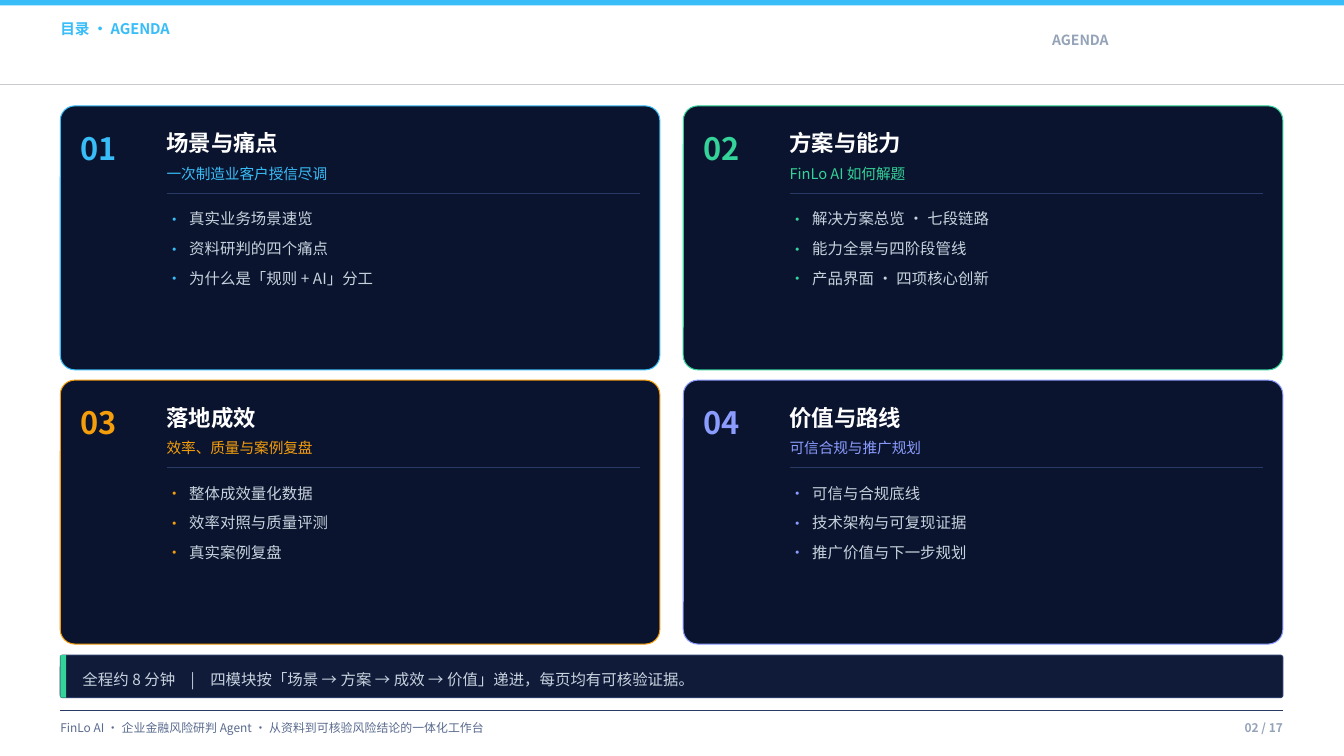
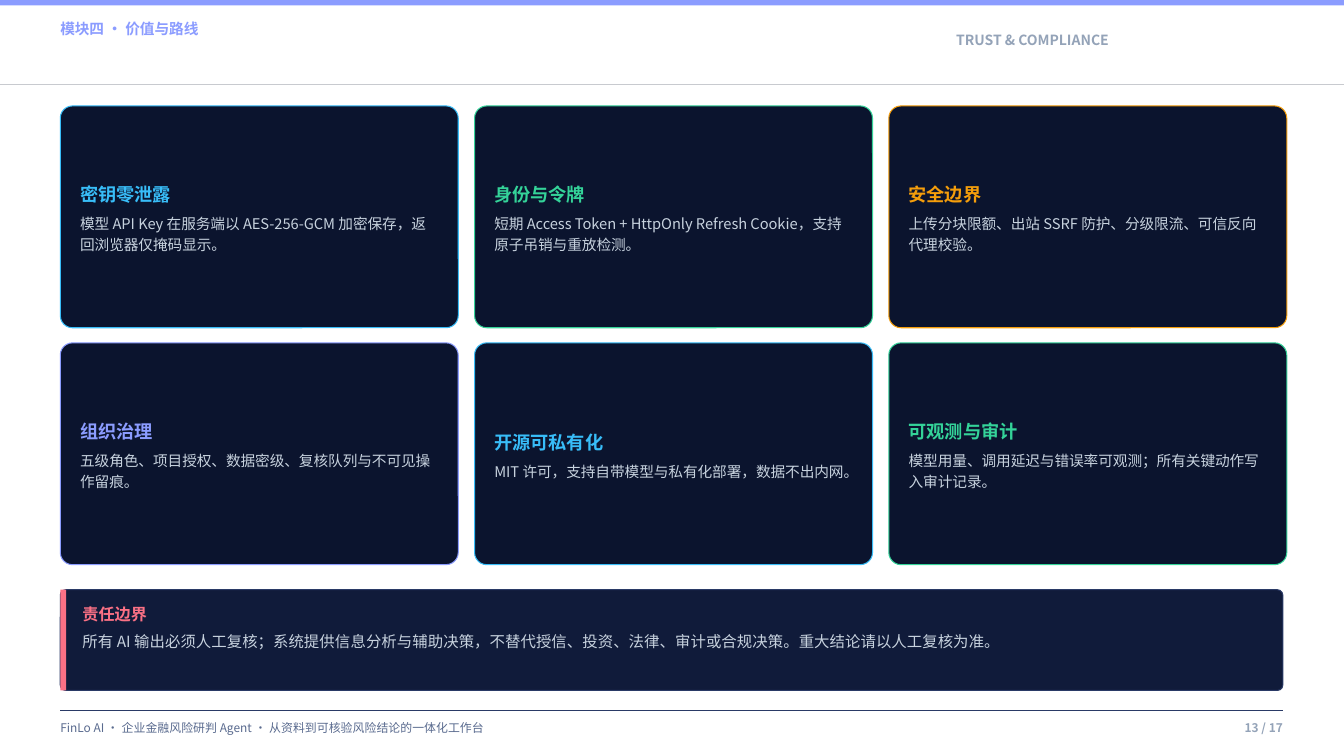
from lxml import etree
from pptx import Presentation
from pptx.dml.color import RGBColor
from pptx.enum.shapes import MSO_CONNECTOR, MSO_SHAPE
from pptx.enum.text import MSO_ANCHOR, MSO_AUTO_SIZE, PP_ALIGN
from pptx.oxml.ns import qn
from pptx.util import Cm, Pt

RECT, ROUNDED = MSO_SHAPE.RECTANGLE, MSO_SHAPE.ROUNDED_RECTANGLE
STRAIGHT = MSO_CONNECTOR.STRAIGHT
LEFT, RIGHT = PP_ALIGN.LEFT, PP_ALIGN.RIGHT
MIDDLE = MSO_ANCHOR.MIDDLE
GROW = MSO_AUTO_SIZE.SHAPE_TO_FIT_TEXT

# Shared style; all lengths are in centimetres
FONT = "Noto Sans CJK SC"
SKY, GREEN, AMBER, VIOLET, ROSE = "38BDF8", "34D399", "F59E0B", "8B9CFF", "FB7185"
WHITE, BODY, MUTED, FOOTER = "FFFFFF", "C7D2DE", "94A3B8", "5A6B8F"
CARD, BAND, RULE, HEADER_RULE = "0B142E", "101B3A", "2A3A66", "C8CACF"
SLIDE_W, SLIDE_H = 33.87, 19.05
MARGIN, CONTENT_W, CONTENT_TOP = 1.52, 30.81, 2.67
FOOTER_TEXT = "FinLo AI · 企业金融风险研判 Agent · 从资料到可核验风险结论的一体化工作台"

MODULES = [
    (SKY, "场景与痛点", "一次制造业客户授信尽调",
     ["真实业务场景速览", "资料研判的四个痛点", "为什么是「规则 + AI」分工"]),
    (GREEN, "方案与能力", "FinLo AI 如何解题",
     ["解决方案总览 · 七段链路", "能力全景与四阶段管线", "产品界面 · 四项核心创新"]),
    (AMBER, "落地成效", "效率、质量与案例复盘",
     ["整体成效量化数据", "效率对照与质量评测", "真实案例复盘"]),
    (VIOLET, "价值与路线", "可信合规与推广规划",
     ["可信与合规底线", "技术架构与可复现证据", "推广价值与下一步规划"]),
]
SAFEGUARDS = [
    (SKY, "密钥零泄露", "模型 API Key 在服务端以 AES-256-GCM 加密保存，返回浏览器仅掩码显示。"),
    (GREEN, "身份与令牌", "短期 Access Token + HttpOnly Refresh Cookie，支持原子吊销与重放检测。"),
    (AMBER, "安全边界", "上传分块限额、出站 SSRF 防护、分级限流、可信反向代理校验。"),
    (VIOLET, "组织治理", "五级角色、项目授权、数据密级、复核队列与不可见操作留痕。"),
    (SKY, "开源可私有化", "MIT 许可，支持自带模型与私有化部署，数据不出内网。"),
    (GREEN, "可观测与审计", "模型用量、调用延迟与错误率可观测；所有关键动作写入审计记录。"),
]


def rgb(value):
    return RGBColor.from_string(value)


def add_bullet(paragraph, color):
    """Hang the paragraph on a coloured middle dot."""
    props = paragraph._p.get_or_add_pPr()
    props.set("marL", str(Cm(0.57)))
    props.set("indent", str(-Cm(0.57)))
    bullet_color = etree.SubElement(props, qn("a:buClr"))
    etree.SubElement(bullet_color, qn("a:srgbClr")).set("val", color)
    etree.SubElement(props, qn("a:buFont")).set("typeface", FONT)
    etree.SubElement(props, qn("a:buChar")).set("char", "·")


def write(paragraph, text, size, color, bold=False, spacing=1.2, after=0,
          align=LEFT, bullet=None):
    paragraph.text = text
    paragraph.alignment = align
    paragraph.line_spacing = spacing
    paragraph.space_after = Pt(after)
    if bullet:
        add_bullet(paragraph, bullet)
    font = paragraph.font
    font.name, font.size, font.bold = FONT, Pt(size), bold
    font.color.rgb = rgb(color)
    # East Asian glyphs need their own typeface entry
    defaults = paragraph._p.pPr.find(qn("a:defRPr"))
    east_asian = etree.Element(qn("a:ea"))
    east_asian.set("typeface", FONT)
    defaults.find(qn("a:latin")).addnext(east_asian)


def write_all(frame, lines):
    """Each line is (text, size, color, options)."""
    for index, (text, size, color, options) in enumerate(lines):
        paragraph = frame.add_paragraph() if index else frame.paragraphs[0]
        write(paragraph, text, size, color, **options)


def set_insets(frame, left, top, right, bottom):
    frame.margin_left, frame.margin_top = Cm(left), Cm(top)
    frame.margin_right, frame.margin_bottom = Cm(right), Cm(bottom)


def add_text(slide, x, y, w, h, lines):
    box = slide.shapes.add_textbox(Cm(x), Cm(y), Cm(w), Cm(h))
    frame = box.text_frame
    frame.word_wrap = True
    frame.auto_size = GROW
    set_insets(frame, 0, 0, 0, 0)
    write_all(frame, lines)


def add_line(slide, x, y, w, color, weight=0.75):
    line = slide.shapes.add_connector(STRAIGHT, Cm(x), Cm(y), Cm(x + w), Cm(y))
    line.line.color.rgb = rgb(color)
    line.line.width = Pt(weight)
    etree.SubElement(line._element.spPr, qn("a:effectLst"))


def add_panel(slide, x, y, w, h, fill, border=None):
    """Rounded when bordered, plain rectangle otherwise."""
    kind = ROUNDED if border else RECT
    panel = slide.shapes.add_shape(kind, Cm(x), Cm(y), Cm(w), Cm(h))
    panel.shadow.inherit = False
    panel.fill.solid()
    panel.fill.fore_color.rgb = rgb(fill)
    if border:
        panel.adjustments[0] = 0.055
        panel.line.color.rgb = rgb(border)
        panel.line.width = Pt(0.75)
    else:
        panel.line.fill.background()
    return panel


def grid(columns, count, w, h, gap_x, gap_y):
    """Top-left corners of the cells, row by row."""
    for index in range(count):
        row, column = divmod(index, columns)
        yield MARGIN + column * (w + gap_x), CONTENT_TOP + row * (h + gap_y)


def add_frame(prs, accent, section, tag, page):
    """Blank slide with the shared header and footer."""
    slide = prs.slides.add_slide(prs.slide_layouts[6])
    bold, bold_right = {"bold": True}, {"bold": True, "align": RIGHT}
    # Header
    add_line(slide, 0, 2.11, SLIDE_W, HEADER_RULE, 0.25)
    add_panel(slide, 0, 0, SLIDE_W, 0.14, accent)
    add_text(slide, MARGIN, 0.41, 15.75, 0.66, [(section, 10.5, accent, bold)])
    add_text(slide, 19.3, 0.71, 8.64, 0.56, [(tag, 10, MUTED, bold_right)])
    # Footer
    add_line(slide, MARGIN, 17.9, CONTENT_W, RULE)
    add_text(slide, MARGIN, 18.08, 24.13, 0.56, [(FOOTER_TEXT, 8.5, FOOTER, {})])
    add_text(slide, 27.94, 18.08, 4.39, 0.56,
             [(f"{page:02d} / 17", 8.5, MUTED, bold_right)])
    return slide


def add_band(slide, y, h, accent, lines):
    """Full-width note with an accent stripe."""
    add_panel(slide, MARGIN, y, CONTENT_W, h, BAND, RULE)
    add_panel(slide, MARGIN, y, 0.15, h, accent)
    add_text(slide, MARGIN + 0.56, y + 0.28, 29.74, h - 0.51, lines)


def add_module_card(slide, x, y, w, h, number, module):
    accent, title, subtitle, topics = module
    text_x, text_w = x + 2.68, 11.94
    add_panel(slide, x, y, w, h, CARD, accent)
    add_text(slide, x + 0.5, y + 0.41, 2.54, 1.27,
             [(f"{number:02d}", 22, accent, {"bold": True})])
    add_text(slide, text_x, y + 0.46, text_w, 1.02, [(title, 16, WHITE, {"bold": True})])
    add_text(slide, text_x, y + 1.4, text_w, 0.61, [(subtitle, 10.5, accent, {})])
    add_line(slide, text_x, y + 2.2, text_w, RULE)
    topic_style = {"spacing": 1.15, "after": 6, "bullet": accent}
    add_text(slide, text_x, y + 2.54, text_w, 3.81,
             [(topic, 11, BODY, topic_style) for topic in topics])


def add_safeguard_card(slide, x, y, w, h, safeguard):
    accent, title, detail = safeguard
    frame = add_panel(slide, x, y, w, h, CARD, accent).text_frame
    frame.word_wrap = True
    frame.vertical_anchor = MIDDLE
    set_insets(frame, 0.41, 0.3, 0.36, 0.25)
    write_all(frame, [
        (title, 13, accent, {"bold": True, "spacing": 1.08, "after": 4}),
        (detail, 10.5, BODY, {"spacing": 1.22}),
    ])


def build_agenda(prs):
    slide = add_frame(prs, SKY, "目录 · AGENDA", "AGENDA", 2)
    w, h = 15.11, 6.65
    corners = grid(2, len(MODULES), w, h, 0.59, 0.26)
    for number, ((x, y), module) in enumerate(zip(corners, MODULES), start=1):
        add_module_card(slide, x, y, w, h, number, module)
    add_band(slide, 16.51, 1.07, GREEN, [
        ("全程约 8 分钟　|　四模块按「场景 → 方案 → 成效 → 价值」递进，每页均有可核验证据。",
         11, BODY, {"spacing": 1.22}),
    ])


def build_compliance(prs):
    slide = add_frame(prs, VIOLET, "模块四 · 价值与路线", "TRUST & COMPLIANCE", 13)
    w, h = 10.03, 5.59
    corners = grid(3, len(SAFEGUARDS), w, h, 0.41, 0.38)
    for (x, y), safeguard in zip(corners, SAFEGUARDS):
        add_safeguard_card(slide, x, y, w, h, safeguard)
    add_band(slide, 14.86, 2.54, ROSE, [
        ("责任边界", 11.5, ROSE, {"bold": True, "after": 3}),
        ("所有 AI 输出必须人工复核；系统提供信息分析与辅助决策，不替代授信、投资、法律、"
         "审计或合规决策。重大结论请以人工复核为准。", 11, BODY, {"spacing": 1.22}),
    ])


def main():
    prs = Presentation()
    prs.slide_width, prs.slide_height = Cm(SLIDE_W), Cm(SLIDE_H)
    build_agenda(prs)
    build_compliance(prs)
    prs.save("out.pptx")


if __name__ == "__main__":
    main()
